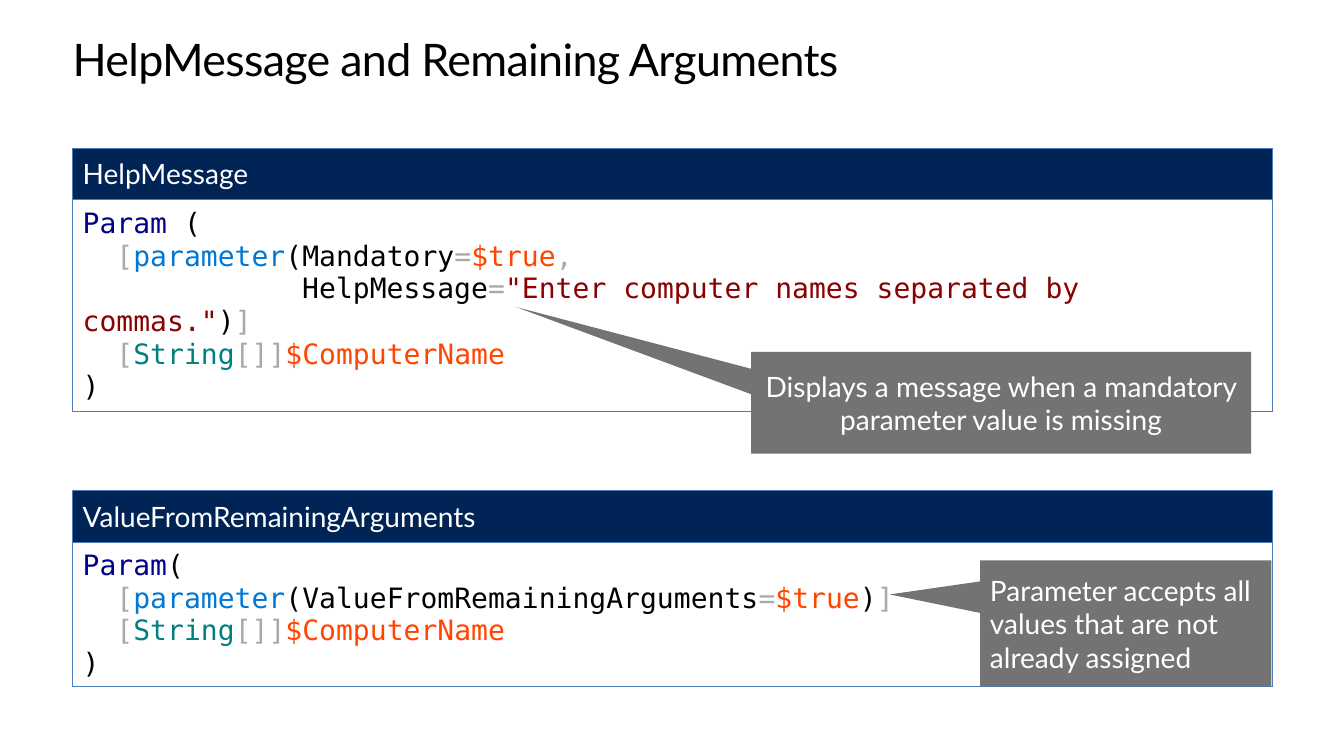
from dataclasses import dataclass

from lxml.etree import SubElement
from pptx import Presentation
from pptx.dml.color import RGBColor
from pptx.enum.shapes import MSO_SHAPE as Shape
from pptx.enum.text import MSO_ANCHOR as Anchor, MSO_AUTO_SIZE as AutoSize, PP_ALIGN as Align
from pptx.oxml.ns import qn
from pptx.slide import Slide
from pptx.table import _Cell as Cell
from pptx.text.text import _Paragraph as Paragraph, _Run as Run
from pptx.util import Pt

EMU_PER_PX = 9144  # 100 px to the inch
LEFT, WIDTH = 72, 1190
HEADER_HEIGHT = 51
TEXT_FONT, CODE_FONT = "Lato", "DejaVu Sans Mono"
BODY_SIZE, TITLE_SIZE = 20, 32

COLORS = {
    "white": "FFFFFF",
    "plain": "000000",
    "header": "012456",
    "border": "4B7EBC",
    "callout": "737373",
    "keyword": "00008B",
    "operator": "A9A9A9",
    "attribute": "0078D4",
    "variable": "FF4500",
    "string": "8B0000",
    "type": "008080",
}

Line = list[tuple[str, str]]  # code pieces as (text, colour name)


@dataclass
class CodeTable:
    heading: str
    top: int
    code_height: int
    lines: list[Line]


@dataclass
class Callout:
    text: str
    box: tuple[int, int, int, int]
    pointer: tuple[float, float]
    align: Align


# Content
TITLE = "HelpMessage and Remaining Arguments"
COMPUTER_NAME: list[Line] = [
    [("  [", "operator"), ("String", "type"), ("[]]", "operator"), ("$ComputerName", "variable")],
    [(")", "plain")],
]
ATTRIBUTE_START: Line = [("  [", "operator"), ("parameter", "attribute")]
TRUE_VALUE: Line = [("=", "operator"), ("$true", "variable")]
ATTRIBUTE_END: Line = [(")", "plain"), ("]", "operator")]

TABLES = [
    CodeTable("HelpMessage", 147, 204, [
        [("Param", "keyword"), (" (", "plain")],
        [*ATTRIBUTE_START, ("(Mandatory", "plain"), *TRUE_VALUE, (",", "operator")],
        [("             HelpMessage", "plain"), ("=", "operator"),
         ('"Enter computer names separated by commas."', "string"), *ATTRIBUTE_END],
        *COMPUTER_NAME,
    ]),
    CodeTable("ValueFromRemainingArguments", 487, 139, [
        [("Param", "keyword"), ("(", "plain")],
        [*ATTRIBUTE_START, ("(ValueFromRemainingArguments", "plain"), *TRUE_VALUE, *ATTRIBUTE_END],
        *COMPUTER_NAME,
    ]),
]

CALLOUTS = [
    Callout("Parameter accepts all values that are not already assigned",
            (972, 556, 289, 125), (-0.81, -0.23), Align.LEFT),
    Callout("Displays a message when a mandatory parameter value is missing",
            (745, 349, 496, 101), (-0.97, -0.94), Align.CENTER),
]


def px(length: int) -> int:
    return length * EMU_PER_PX


def color(name: str) -> RGBColor:
    return RGBColor.from_string(COLORS[name])


def add_run(paragraph: Paragraph, text: str, color_name: str,
            font: str = TEXT_FONT, size: int = BODY_SIZE) -> Run:
    run = paragraph.add_run()
    run.text = text
    run.font.name = font
    run.font.size = Pt(size)
    run.font.color.rgb = color(color_name)
    return run


def set_borders(cell: Cell) -> None:
    properties = cell._tc.get_or_add_tcPr()
    for side in ("lnL", "lnR", "lnT", "lnB"):
        line = SubElement(properties, qn(f"a:{side}"), w=str(Pt(0.75)))
        fill = SubElement(line, qn("a:solidFill"))
        SubElement(fill, qn("a:srgbClr"), val=COLORS["border"])


def set_title(slide: Slide) -> None:
    title = slide.shapes.title
    title.left, title.top, title.width, title.height = map(px, (LEFT, 35, WIDTH, 50))
    title.fill.solid()
    title.fill.fore_color.rgb = color("white")
    frame = title.text_frame
    frame.margin_left = frame.margin_top = frame.margin_right = frame.margin_bottom = 0
    frame.vertical_anchor = Anchor.TOP
    frame.word_wrap = True
    frame.auto_size = AutoSize.SHAPE_TO_FIT_TEXT
    paragraph = frame.paragraphs[0]
    paragraph.alignment = Align.LEFT
    paragraph.line_spacing = Pt(36.2)
    run = add_run(paragraph, TITLE, "plain", size=TITLE_SIZE)
    run.font._element.set("spc", "-50")


def add_code_table(slide: Slide, item: CodeTable) -> None:
    heights = (HEADER_HEIGHT, item.code_height)
    table = slide.shapes.add_table(
        2, 1, px(LEFT), px(item.top), px(WIDTH), px(sum(heights))).table
    table.horz_banding = False
    for row, height in zip(table.rows, heights):
        row.height = px(height)
        set_borders(row.cells[0])
        row.cells[0].vertical_anchor = Anchor.MIDDLE

    header, body = table.cell(0, 0), table.cell(1, 0)
    header.fill.solid()
    header.fill.fore_color.rgb = color("header")
    heading = add_run(header.text_frame.paragraphs[0], item.heading, "white")
    heading.font.bold = False

    body.fill.background()
    frame = body.text_frame
    for index, line in enumerate(item.lines):
        paragraph = frame.add_paragraph() if index else frame.paragraphs[0]
        for text, color_name in line:
            add_run(paragraph, text, color_name, CODE_FONT)


def add_callout(slide: Slide, item: Callout) -> None:
    shape = slide.shapes.add_shape(Shape.RECTANGULAR_CALLOUT, *map(px, item.box))
    shape.shadow.inherit = False
    shape.adjustments[0], shape.adjustments[1] = item.pointer
    shape.fill.solid()
    shape.fill.fore_color.rgb = color("callout")
    shape.line.fill.background()
    frame = shape.text_frame
    frame.word_wrap = True
    frame.vertical_anchor = Anchor.MIDDLE
    paragraph = frame.paragraphs[0]
    paragraph.alignment = item.align
    add_run(paragraph, item.text, "white")


def main() -> None:
    presentation = Presentation()
    presentation.slide_width, presentation.slide_height = px(1333), px(750)
    slide = presentation.slides.add_slide(presentation.slide_layouts[5])
    set_title(slide)
    for code_table in TABLES:
        add_code_table(slide, code_table)
    for callout in CALLOUTS:
        add_callout(slide, callout)
    presentation.save("out.pptx")


if __name__ == "__main__":
    main()
